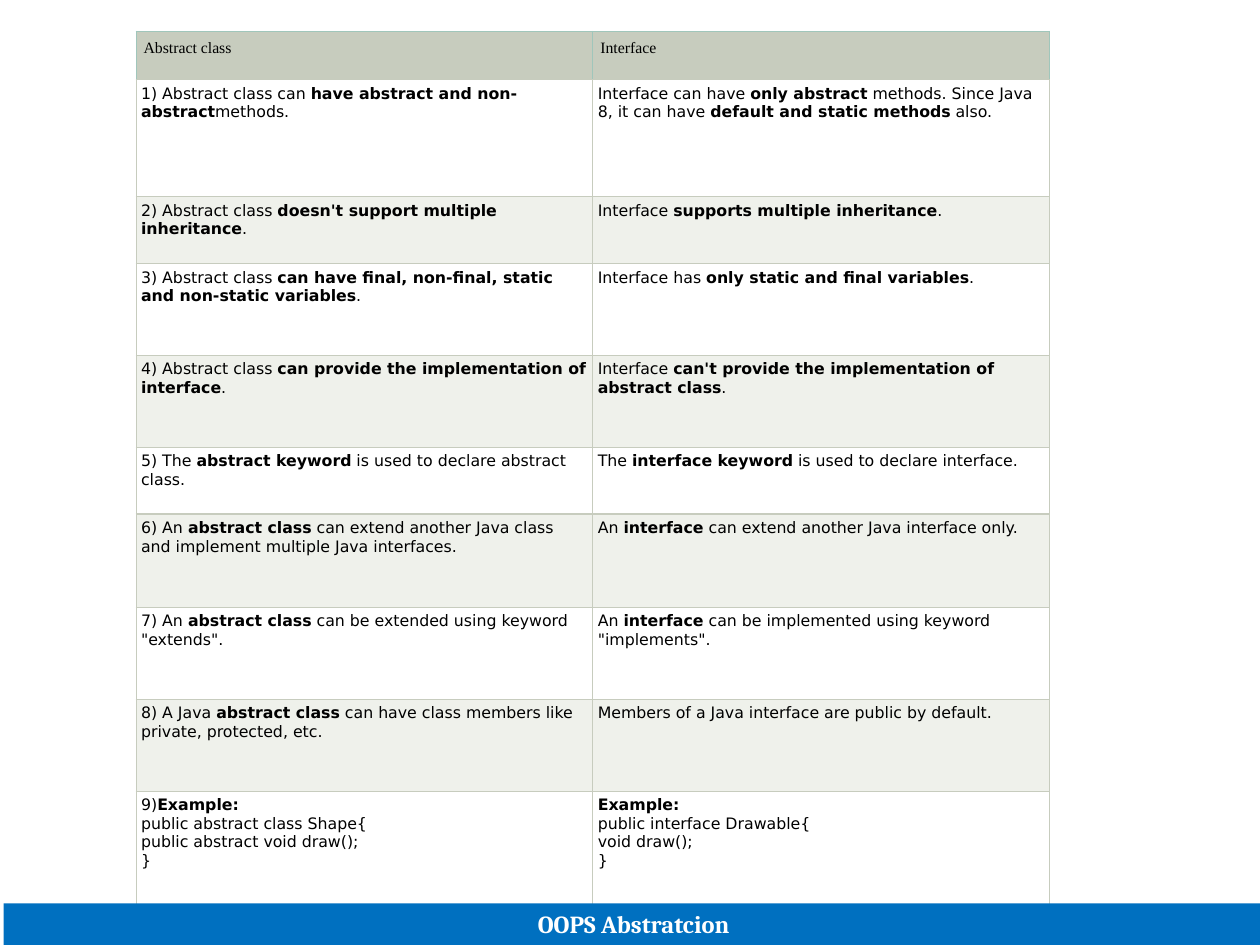
from lxml.etree import SubElement
from pptx import Presentation
from pptx.dml.color import RGBColor
from pptx.enum.shapes import MSO_SHAPE
from pptx.enum.text import MSO_ANCHOR, PP_ALIGN
from pptx.oxml.ns import qn
from pptx.util import Inches, Pt

COLORS = {"header": "C7CCBE", "header_edge": "A0C6BB", "grid": "C7CCBE",
          "plain": "FFFFFF", "band": "EFF1EB", "text": "000000",
          "footer": "0070C0", "footer_text": "FFFFFF"}

# Asterisks enclose bold words
ROWS = [
    ("Abstract class", "Interface"),
    ("1) Abstract class can *have abstract and non-abstract*methods.",
     "Interface can have *only abstract* methods. Since Java 8, "
     "it can have *default and static methods* also."),
    ("2) Abstract class *doesn't support multiple inheritance*.",
     "Interface *supports multiple inheritance*."),
    ("3) Abstract class *can have final, non-final, static and non-static variables*.",
     "Interface has *only static and final variables*."),
    ("4) Abstract class *can provide the implementation of interface*.",
     "Interface *can't provide the implementation of abstract class*."),
    ("5) The *abstract keyword* is used to declare abstract class.",
     "The *interface keyword* is used to declare interface."),
    ("6) An *abstract class* can extend another Java class "
     "and implement multiple Java interfaces.",
     "An *interface* can extend another Java interface only."),
    ("7) An *abstract class* can be extended using keyword \"extends\".",
     "An *interface* can be implemented using keyword \"implements\"."),
    ("8) A Java *abstract class* can have class members like private, protected, etc.",
     "Members of a Java interface are public by default."),
    ("9)*Example:*\npublic abstract class Shape{\npublic abstract void draw();\n}",
     "*Example:*\npublic interface Drawable{\nvoid draw();\n}"),
]
HEIGHTS = [0.38, 0.93, 0.53, 0.73, 0.73, 0.53, 0.74, 0.73, 0.73, 0.95]


def rgb(name):
    return RGBColor.from_string(COLORS[name])


def add_border(cell, side, color):
    ln = SubElement(cell._tc.get_or_add_tcPr(), qn(f"a:ln{side}"), w=str(Pt(0.75)))
    fill = SubElement(ln, qn("a:solidFill"))
    SubElement(fill, qn("a:srgbClr"), val=COLORS[color])


prs = Presentation()
prs.slide_width, prs.slide_height = Inches(10), Inches(7.5)
s = prs.slides.add_slide(prs.slide_layouts[6])

# Comparison table
table = s.shapes.add_table(len(ROWS), 2, Inches(1.08), Inches(0.25),
                           Inches(7.25), Inches(sum(HEIGHTS))).table
for col in table.columns:
    col.width = Inches(3.625)

for i, (texts, height) in enumerate(zip(ROWS, HEIGHTS)):
    table.rows[i].height = Inches(height)
    header = i == 0
    for cell, text in zip(table.rows[i].cells, texts):
        # Margins, borders and fill
        margin = Inches(0.06 if header else 0.04)
        cell.margin_left = cell.margin_right = margin
        cell.margin_top = cell.margin_bottom = margin
        for side in "LRTB":
            add_border(cell, side, "header_edge" if header and side != "B" else "grid")
        cell.fill.solid()
        cell.fill.fore_color.rgb = rgb("header" if header else "plain" if i % 2 else "band")

        # Text, with every second piece bold
        p = cell.text_frame.paragraphs[0]
        p.font.size = Pt(9)
        p.font.name = "Times New Roman" if header else "DejaVu Sans"
        p.font.color.rgb = rgb("text")
        for n, piece in enumerate(text.split("*")):
            for k, line in enumerate(piece.split("\n")):
                if k:
                    p.add_line_break()
                if line:
                    r = p.add_run()
                    r.text = line
                    r.font.bold = n % 2 == 1
        # Line breaks take the text size too
        for br in p._p.findall(qn("a:br")):
            SubElement(br, qn("a:rPr"), sz="900")

# Footer bar
sp = s.shapes.add_shape(MSO_SHAPE.RECTANGLE, Inches(0.03), Inches(7.17),
                        Inches(10), Inches(0.33))
sp.shadow.inherit = False
sp.fill.solid()
sp.fill.fore_color.rgb = rgb("footer")
sp.line.fill.background()
tf = sp.text_frame
tf.vertical_anchor = MSO_ANCHOR.MIDDLE
p = tf.paragraphs[0]
p.text = "OOPS Abstratcion"
p.alignment = PP_ALIGN.CENTER
p.font.size = Pt(14)
p.font.name = "Cambria"
p.font.bold = True
p.font.color.rgb = rgb("footer_text")

prs.save("out.pptx")
